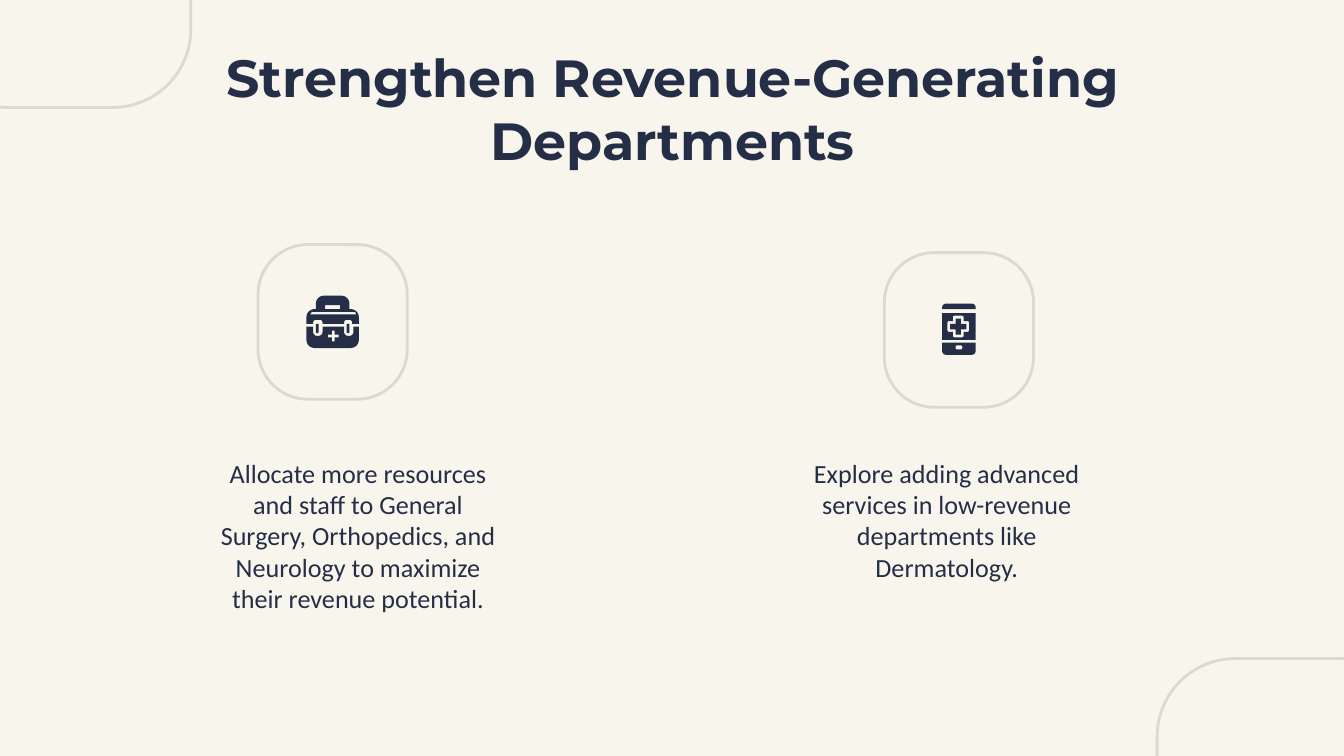
from math import dist
from pptx import Presentation
from pptx.dml.color import RGBColor
from pptx.enum import shapes, text
from pptx.util import Inches, Pt

COLORS = {"paper": "F8F5EC", "ink": "252E47", "outline": "DADACE"}
TITLE = "Strengthen Revenue-Generating Departments"
ADVICE = [
    (1.53, "Allocate more resources and staff to General Surgery, Orthopedics, "
           "and Neurology to maximize their revenue potential."),
    (5.91, "Explore adding advanced services in low-revenue departments like Dermatology."),
]
# left, top, width, height, corner ratio
FRAMES = [
    (-0.52, -1.51, 1.94, 2.31, 0.3),
    (8.61, 4.9, 1.94, 2.32, 0.3),
    (6.58, 1.88, 1.11, 1.15, 0.334),
    (1.92, 1.82, 1.11, 1.15, 0.334),
]


def box(left, top, right, bottom, upper=0, lower=0):
    """Corners as (x, y, radius), with one radius for the upper and one for the lower pair."""
    return [(left, top, upper), (right, top, upper), (right, bottom, lower), (left, bottom, lower)]


def plus(cx, cy, reach, half, radius=0):
    """Corners of a plus sign; half is half the thickness of an arm."""
    quarter = [(half, -reach, radius), (half, -half, 0), (reach, -half, radius)]
    corners = []
    for _ in range(4):
        corners += [(cx + x, cy + y, r) for x, y, r in quarter]
        quarter = [(-y, x, r) for x, y, r in quarter]
    return corners


# Each icon is a list of parts; a part is an outer contour followed by its holes.
PHONE = [
    [box(7.01, 2.26, 7.26, 2.3, upper=0.03)],
    [plus(7.13, 2.43, 0.06, 0.02)],
    [box(7.01, 2.55, 7.26, 2.64, lower=0.03), box(7.11, 2.57, 7.16, 2.6, 0.01, 0.01)],
    [box(7.01, 2.33, 7.26, 2.53), plus(7.13, 2.43, 0.08, 0.04, 0.01)],
]
LID = [
    (2.35, 2.2, 0.06), (2.6, 2.2, 0.06), (2.6, 2.3, 0), (2.67, 2.3, 0.06),
    (2.67, 2.41, 0), (2.62, 2.41, 0), (2.62, 2.38, 0.02), (2.56, 2.38, 0.02),
    (2.56, 2.41, 0), (2.4, 2.41, 0), (2.4, 2.38, 0.02), (2.33, 2.38, 0.02),
    (2.33, 2.41, 0), (2.28, 2.41, 0), (2.28, 2.3, 0.06), (2.35, 2.3, 0),
]
BASE = [
    (2.28, 2.43, 0), (2.33, 2.43, 0), (2.33, 2.5, 0.03), (2.4, 2.5, 0.03),
    (2.4, 2.43, 0), (2.56, 2.43, 0), (2.56, 2.5, 0.03), (2.63, 2.5, 0.03),
    (2.63, 2.43, 0), (2.67, 2.43, 0), (2.67, 2.59, 0.06), (2.28, 2.59, 0.06),
]
MEDICAL_CASE = [
    [LID, box(2.42, 2.27, 2.53, 2.3), box(2.31, 2.32, 2.65, 2.34, upper=0.02)],
    [box(2.58, 2.41, 2.6, 2.48, lower=0.01)],
    [BASE, plus(2.48, 2.5, 0.04, 0.01)],
    [box(2.35, 2.41, 2.37, 2.48, lower=0.01)],
]


def color(name):
    return RGBColor.from_string(COLORS[name])


def rounded(corners, steps=6):
    """Turn (x, y, radius) corners into outline points in EMU."""
    points = []
    for i, (x, y, radius) in enumerate(corners):
        corner = (x, y)
        if not radius:
            points.append(corner)
            continue
        ends = []
        for near in (corners[i - 1][:2], corners[(i + 1) % len(corners)][:2]):
            share = radius / dist(corner, near)
            ends.append([c + share * (n - c) for c, n in zip(corner, near)])
        controls = [[e + 0.55 * (c - e) for e, c in zip(end, corner)] for end in ends]
        for step in range(steps + 1):
            t = step / steps
            points.append([
                (1 - t) ** 3 * a + 3 * t * (1 - t) ** 2 * b + 3 * t * t * (1 - t) * c + t ** 3 * d
                for a, b, c, d in zip(ends[0], *controls, ends[1])])
    return [(Inches(x), Inches(y)) for x, y in points]


def draw_icon(slide, parts):
    group = slide.shapes.add_group_shape()
    for part in parts:
        outer, *holes = [rounded(contour) for contour in part]
        builder = group.shapes.build_freeform(*outer[0])
        builder.add_line_segments(outer[1:])
        for hole in holes:
            builder.move_to(*hole[0])
            builder.add_line_segments(hole[1:])
        piece = builder.convert_to_shape()
        piece.shadow.inherit = False
        piece.fill.solid()
        piece.fill.fore_color.rgb = color("ink")
        piece.line.fill.background()


def draw_frame(slide, left, top, width, height, ratio):
    frame = slide.shapes.add_shape(shapes.MSO_SHAPE.ROUNDED_RECTANGLE, *map(Inches, (left, top, width, height)))
    frame.adjustments[0] = ratio
    frame.shadow.inherit = False
    frame.fill.background()
    frame.line.color.rgb = color("outline")
    frame.line.width = Pt(1.5)


def write(holder, words, *, font, size, bold=False, anchor=text.MSO_ANCHOR.TOP):
    frame = holder.text_frame
    frame.word_wrap = True
    frame.auto_size = text.MSO_AUTO_SIZE.NONE
    frame.vertical_anchor = anchor
    frame.margin_left = frame.margin_right = frame.margin_top = frame.margin_bottom = Inches(0.1)
    paragraph = frame.paragraphs[0]
    paragraph.alignment = text.PP_ALIGN.CENTER
    run = paragraph.add_run()
    run.text = words
    run.font.name, run.font.size, run.font.bold = font, Pt(size), bold
    run.font.color.rgb = color("ink")


def main():
    deck = Presentation()
    deck.slide_width, deck.slide_height = Inches(10), Inches(10 * 9 / 16)
    slide = deck.slides.add_slide(deck.slide_layouts[5])
    slide.background.fill.solid()
    slide.background.fill.fore_color.rgb = color("paper")

    for frame in FRAMES:
        draw_frame(slide, *frame)

    title = slide.shapes.title
    title.left, title.top, title.width, title.height = map(Inches, (0.79, 0.49, 8.43, 0.63))
    write(title, TITLE, font="Montserrat", size=28, bold=True, anchor=text.MSO_ANCHOR.MIDDLE)

    for left, words in ADVICE:
        advice = slide.shapes.add_textbox(*map(Inches, (left, 3.3, 2.27, 1.22)))
        write(advice, words, font="Calibri", size=14)

    for icon in (PHONE, MEDICAL_CASE):
        draw_icon(slide, icon)
    deck.save("out.pptx")


if __name__ == "__main__":
    main()
